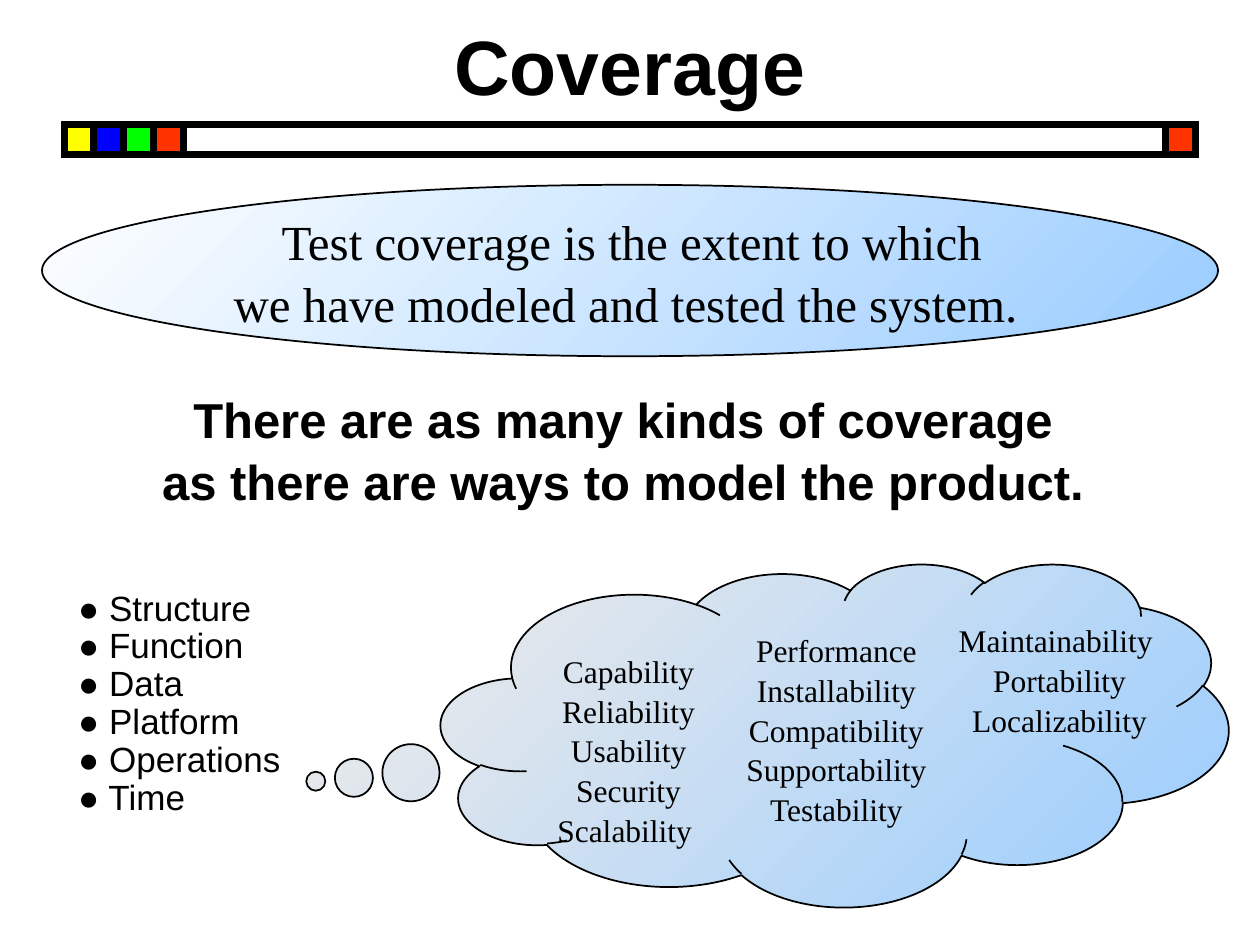
"""Build the test coverage slide."""
from dataclasses import dataclass

from lxml.etree import SubElement
from pptx import Presentation
from pptx.dml.color import RGBColor
from pptx.enum.shapes import MSO_SHAPE as Shape
from pptx.enum.text import MSO_ANCHOR as Anchor, MSO_AUTO_SIZE as AutoSize, PP_ALIGN as Align
from pptx.oxml.ns import qn
from pptx.util import Pt

COLORS = {
    "black": "000000", "white": "FFFFFF", "grey": "EAEAEA", "sky": "99CCFF",
    "yellow": "FFFF00", "blue": "0000FF", "green": "00FF00", "red": "FF3300",
}
SANS, SERIF = "Arial", "Times New Roman"
BAR_LEFT, BAR_TOP, BAR_WIDTH, SQUARE = 36.7, 71.2, 646.6, 17


@dataclass
class Frame:
    """Hold a position and size in points."""
    left: float
    top: float
    width: float
    height: float

    def lengths(self) -> tuple:
        """Return the four values as lengths."""
        return Pt(self.left), Pt(self.top), Pt(self.width), Pt(self.height)


@dataclass
class Style:
    """Describe how a text is set."""
    font: str
    size: float
    bold: bool = False
    align: Align = Align.CENTER
    indent: float = 0
    spacing: float = 1.05


@dataclass
class Note:
    """Describe a text box and its lines."""
    frame: Frame
    lines: list[str]
    style: Style
    wrap: bool = True
    anchor: Anchor = Anchor.TOP


def color(name: str) -> RGBColor:
    """Look up a colour by name."""
    return RGBColor.from_string(COLORS[name])


def add_run(para, text: str, style: Style) -> None:
    """Add one formatted run."""
    span = para.add_run()
    span.text = text
    span.font.name, span.font.size, span.font.bold = style.font, Pt(style.size), style.bold
    span.font.color.rgb = color("black")


def write_lines(text_frame, lines: list[str], style: Style) -> None:
    """Write each line as a paragraph."""
    for index, line in enumerate(lines):
        para = text_frame.add_paragraph() if index else text_frame.paragraphs[0]
        para.alignment, para.line_spacing = style.align, style.spacing
        if style.indent:
            para._p.get_or_add_pPr().set("marL", str(Pt(style.indent)))
        add_run(para, line, style)


def add_outlined(page, kind: Shape, frame: Frame, line_width: float):
    """Add a black-outlined shape without shadow."""
    shape = page.shapes.add_shape(kind, *frame.lengths())
    shape.shadow.inherit = False
    shape.line.color.rgb = color("black")
    shape.line.width = Pt(line_width)
    return shape


def add_bar_part(page, left: float, width: float, fill: str | None) -> None:
    """Add one rectangle of the title bar."""
    part = add_outlined(page, Shape.RECTANGLE, Frame(left, BAR_TOP, width, SQUARE), 4)
    SubElement(part._element.spPr.find(qn("a:ln")), qn("a:miter"), lim="800000")
    if fill is None:
        part.fill.background()
    else:
        part.fill.solid()
        part.fill.fore_color.rgb = color(fill)


def add_gradient_shape(page, kind: Shape, frame: Frame, light: str):
    """Add a shape shaded from light at top left to sky blue."""
    shape = add_outlined(page, kind, frame, 1)
    shape.fill.gradient()
    shape.fill.gradient_angle = 135
    for stop, name in zip(shape.fill.gradient_stops, ("sky", light)):
        stop.color.rgb = color(name)
    return shape


def add_note(page, note: Note) -> None:
    """Add a text box."""
    text_frame = page.shapes.add_textbox(*note.frame.lengths()).text_frame
    text_frame.word_wrap, text_frame.vertical_anchor = note.wrap, note.anchor
    write_lines(text_frame, note.lines, note.style)


def place(holder, frame: Frame, anchor: Anchor):
    """Move a placeholder and return its text frame."""
    holder.left, holder.top, holder.width, holder.height = frame.lengths()
    holder.text_frame.auto_size = AutoSize.NONE
    holder.text_frame.vertical_anchor = anchor
    return holder.text_frame


def add_title_bar(page) -> None:
    """Draw the bar with its coloured squares."""
    add_bar_part(page, BAR_LEFT, BAR_WIDTH, None)
    for index, name in enumerate(("yellow", "blue", "green", "red")):
        add_bar_part(page, BAR_LEFT + index * SQUARE, SQUARE, name)
    add_bar_part(page, BAR_LEFT + BAR_WIDTH - SQUARE, SQUARE, "red")


def add_body(page) -> None:
    """Fill the body placeholder with the statement."""
    style = Style(SANS, 28, bold=True)
    text_frame = place(page.placeholders[1], Frame(48, 217.5, 616, 92), Anchor.TOP)
    para = text_frame.paragraphs[0]
    properties = para._p.get_or_add_pPr()
    properties.set("marL", "0")
    properties.set("indent", "0")
    SubElement(properties, qn("a:buNone"))
    para.alignment, para.line_spacing, para.space_before = style.align, style.spacing, Pt(0)
    add_run(para, "There are as many kinds of coverage", style)
    para.add_line_break()
    add_run(para, "as there are ways to model the product.", style)


def add_model_table(page) -> None:
    """Add the one-cell table of product models."""
    table = page.shapes.add_table(1, 1, *Frame(24, 334, 188, 151).lengths()).table
    table.first_row = table.horz_banding = False
    cell = table.cell(0, 0)
    cell.fill.background()
    models = ("Structure", "Function", "Data", "Platform", "Operations", "Time")
    style = Style(SANS, 20, align=Align.LEFT, indent=13.5, spacing=0.97)
    write_lines(cell.text_frame, [f"● {model}" for model in models], style)


def main() -> None:
    """Build and save the deck."""
    deck = Presentation()
    deck.slide_width, deck.slide_height = Pt(720), Pt(540)
    page = deck.slides.add_slide(deck.slide_layouts[1])
    title_frame = place(page.shapes.title, Frame(0, -0.5, 720, 72), Anchor.MIDDLE)
    write_lines(title_frame, ["Coverage"], Style(SANS, 44, bold=True))
    add_title_bar(page)
    add_body(page)
    add_model_table(page)

    add_gradient_shape(page, Shape.OVAL, Frame(24, 105.6, 672, 98), "white")
    cloud = add_gradient_shape(page, Shape.CLOUD_CALLOUT, Frame(252, 322, 450, 196), "grey")
    cloud.adjustments[0], cloud.adjustments[1] = -0.659, 0.135

    criterion = Style(SERIF, 18)
    notes = [
        Note(Frame(120, 117.2, 482, 75),
             ["Test coverage is the extent to which", "we have modeled and tested the system. "],
             Style(SERIF, 28), wrap=False, anchor=Anchor.MIDDLE),
        Note(Frame(306, 368, 102, 115),
             [" Capability", " Reliability", " Usability", " Security", "Scalability"], criterion),
        Note(Frame(402.5, 356.2, 144, 115),
             ["Performance", "Installability", "Compatibility", "Supportability", "Testability"],
             Style(SERIF, 18, indent=7)),
        Note(Frame(534.3, 350.5, 138, 72),
             ["Maintainability", " Portability", " Localizability"], criterion),
    ]
    for note in notes:
        add_note(page, note)
    deck.save("out.pptx")


if __name__ == "__main__":
    main()
